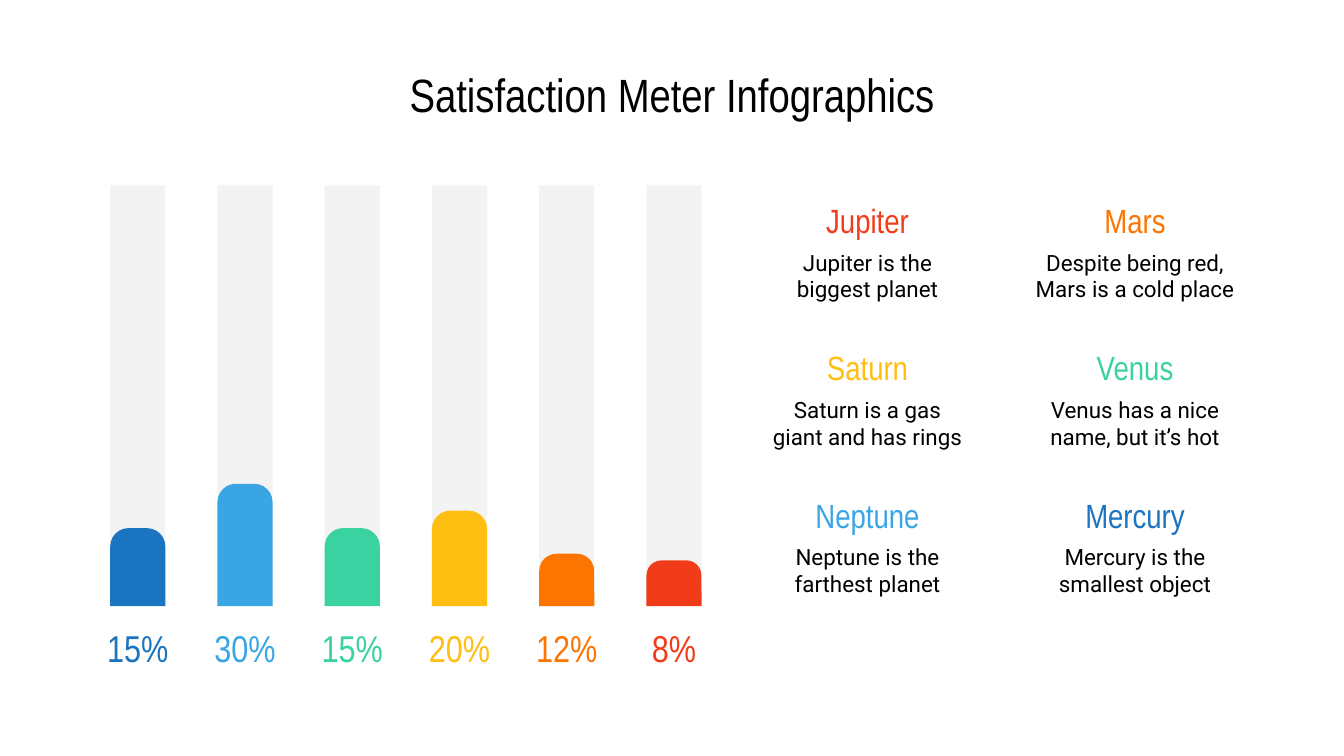
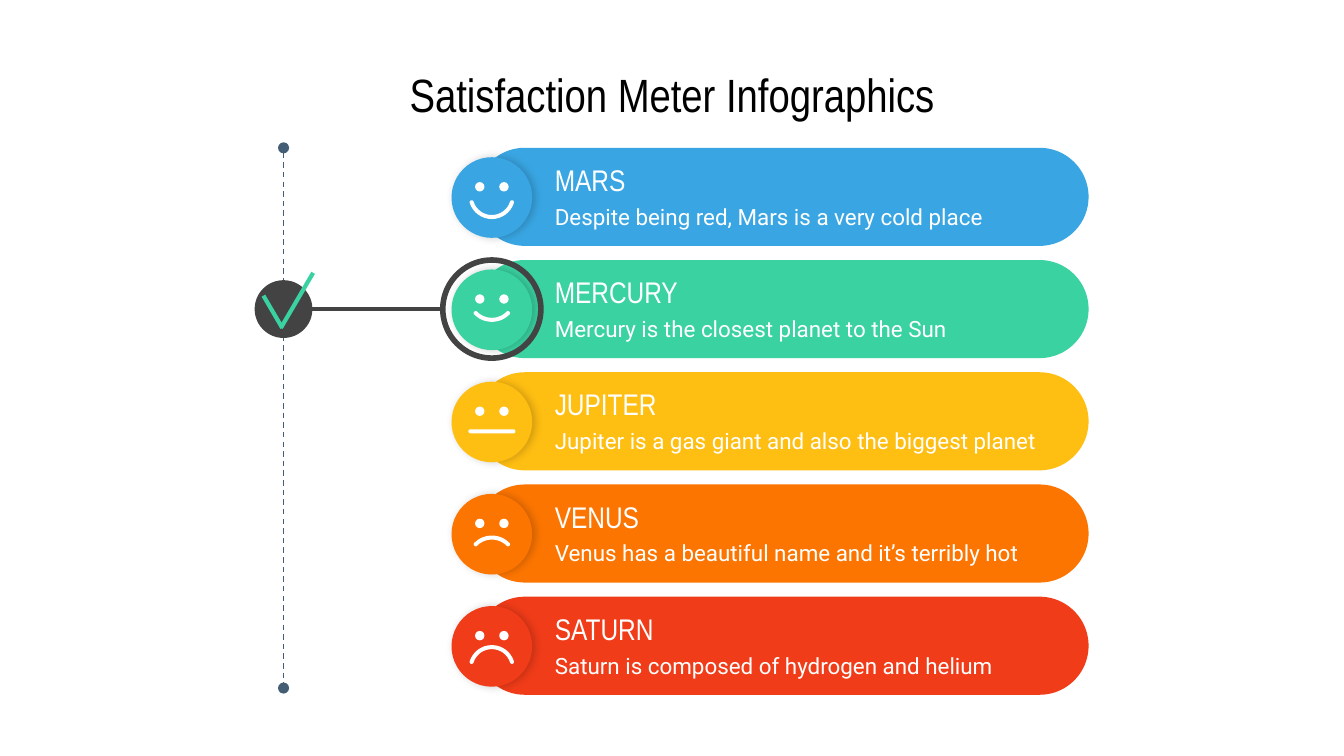
from math import asin, cos, pi, sin

from lxml.etree import SubElement
from pptx import Presentation
from pptx.dml.color import RGBColor
from pptx.enum.dml import MSO_LINE
from pptx.enum.shapes import MSO_CONNECTOR, MSO_SHAPE
from pptx.enum.text import MSO_ANCHOR as Anchor, PP_ALIGN as Align
from pptx.oxml.ns import qn
from pptx.util import Inches, Pt

NAVY, BLUE, GREEN = "1A74BF", "39A6E3", "39D2A0"
YELLOW, ORANGE, RED = "FFBE12", "FC7500", "F13C19"
BLACK, WHITE, TRACK, DARK, SLATE = "000000", "FFFFFF", "F3F3F3", "434343", "435D74"
HEADING, BODY = "Arial Narrow", "Roboto"

SHARES = [
    ("15%", NAVY, 0.58), ("30%", BLUE, 0.91), ("15%", GREEN, 0.58),
    ("20%", YELLOW, 0.71), ("12%", ORANGE, 0.39), ("8%", RED, 0.34),
]
PLANETS = [
    ("Jupiter", RED, "Jupiter is the biggest planet"),
    ("Mars", ORANGE, "Despite being red, Mars is a cold place"),
    ("Saturn", YELLOW, "Saturn is a gas giant and has rings"),
    ("Venus", GREEN, "Venus has a nice name, but it’s hot"),
    ("Neptune", BLUE, "Neptune is the farthest planet"),
    ("Mercury", NAVY, "Mercury is the smallest object"),
]
MOODS = [
    ("MARS", BLUE, "Despite being red, Mars is a very cold place", 0.15, 0.11, 0.09),
    ("MERCURY", GREEN, "Mercury is the closest planet to the Sun", 0.12, 0.05, 0.05),
    ("JUPITER", YELLOW, "Jupiter is a gas giant and also the biggest planet", 0.16, 0, 0.07),
    ("VENUS", ORANGE, "Venus has a beautiful name and it’s terribly hot", 0.12, -0.05, 0.05),
    ("SATURN", RED, "Saturn is composed of hydrogen and helium", 0.15, -0.11, 0.06),
]


def rgb(value):
    return RGBColor.from_string(value)


class Deck:
    def __init__(self):
        self.prs = Presentation()
        self.prs.slide_width = Inches(10)
        self.prs.slide_height = Inches(10 * 9 / 16)
        self.slide = None

    def new_slide(self):
        self.slide = self.prs.slides.add_slide(self.prs.slide_layouts[6])
        self.slide.background.fill.solid()
        self.slide.background.fill.fore_color.rgb = rgb(WHITE)

    def title(self, text):
        self.text(text, 0.5, 0.45, 9, 0.5, size=25, anchor=Anchor.MIDDLE)

    def text(self, text, left, top, width, height, size=12, font=HEADING,
             color=BLACK, align=Align.CENTER, anchor=Anchor.TOP):
        box = self.slide.shapes.add_textbox(*map(Inches, (left, top, width, height)))
        frame = box.text_frame
        frame.word_wrap = True
        frame.vertical_anchor = anchor
        frame.margin_left = frame.margin_right = Inches(0.1)
        frame.margin_top = frame.margin_bottom = Inches(0.1)
        paragraph = frame.paragraphs[0]
        paragraph.alignment = align
        run = paragraph.add_run()
        run.text = text
        run.font.size, run.font.name = Pt(size), font
        run.font.color.rgb = rgb(color)

    def paint(self, shape, fill=None, line=None, weight=1):
        shape.shadow.inherit = False
        if fill:
            shape.fill.solid()
            shape.fill.fore_color.rgb = rgb(fill)
        else:
            shape.fill.background()
        if line:
            shape.line.color.rgb = rgb(line)
            shape.line.width = Pt(weight)
        else:
            shape.line.fill.background()
        return shape

    def shape(self, kind, left, top, width, height, adjust=(), **look):
        shape = self.slide.shapes.add_shape(kind, *map(Inches, (left, top, width, height)))
        for index, value in enumerate(adjust):
            shape.adjustments[index] = value
        return self.paint(shape, **look)

    def disc(self, x, y, diameter, **look):
        return self.shape(MSO_SHAPE.OVAL, x - diameter / 2, y - diameter / 2,
                          diameter, diameter, **look)

    def soft_shadow(self, shape):
        effects = shape._element.spPr.find(qn("a:effectLst"))
        shadow = SubElement(effects, qn("a:outerShdw"), blurRad=str(Pt(4.5)),
                            dist=str(Pt(1.5)), dir=str(359 * 60000),
                            algn="bl", rotWithShape="0")
        color = SubElement(shadow, qn("a:srgbClr"), val=BLACK)
        SubElement(color, qn("a:alpha"), val="18000")

    def line(self, x1, y1, x2, y2, color, weight, dash=None, dots=False):
        line = self.slide.shapes.add_connector(
            MSO_CONNECTOR.STRAIGHT, *map(Inches, (x1, y1, x2, y2)))
        line.line.color.rgb = rgb(color)
        line.line.width = Pt(weight)
        if dash:
            line.line.dash_style = dash
        if dots:
            stroke = line.line._get_or_add_ln()
            for end in ("a:headEnd", "a:tailEnd"):
                SubElement(stroke, qn(end), type="oval")
        SubElement(line._element.spPr, qn("a:effectLst"))

    def mouth(self, x, y, half, curve, thick=0.03, steps=16):
        if not curve:
            self.shape(MSO_SHAPE.ROUNDED_RECTANGLE, x - half - thick / 2, y - thick / 2,
                       2 * half + thick, thick, adjust=[0.5], fill=WHITE)
            return
        depth, way = abs(curve), 1 if curve > 0 else -1
        radius = (half ** 2 + depth ** 2) / (2 * depth)
        reach = asin(half / radius)
        center_y = depth / 2 - radius

        def arc(r, start, end, cx=0, cy=center_y):
            angles = (start + (end - start) * i / steps for i in range(steps + 1))
            return [(cx + r * sin(a), cy + r * cos(a)) for a in angles]

        def cap(angle, start):
            return arc(thick / 2, start, start + pi,
                       radius * sin(angle), center_y + radius * cos(angle))

        outline = (arc(radius + thick / 2, -reach, reach) + cap(reach, reach)
                   + arc(radius - thick / 2, reach, -reach) + cap(-reach, pi - reach))
        points = [(Inches(x + dx), Inches(y + way * dy)) for dx, dy in outline]
        builder = self.slide.shapes.build_freeform(*points[0])
        builder.add_line_segments(points[1:], close=True)
        self.paint(builder.convert_to_shape(), fill=WHITE)

    def face(self, x, y, color, half, curve, drop):
        self.soft_shadow(self.disc(x, y, 0.6, fill=color))
        for side in (-1, 1):
            self.disc(x + side * 0.09, y - 0.08, 0.07, fill=WHITE)
        self.mouth(x, y + drop, half, curve)


def share_slide(deck):
    deck.new_slide()
    deck.title("Satisfaction Meter Infographics")
    track_top, track_bottom, width = 1.38, 4.51, 0.41
    pitch = (4.81 - 0.82) / (len(SHARES) - 1)
    for index, (share, color, height) in enumerate(SHARES):
        left = 0.82 + index * pitch
        deck.shape(MSO_SHAPE.RECTANGLE, left, track_top, width,
                   track_bottom - track_top, fill=TRACK)
        deck.shape(MSO_SHAPE.ROUND_2_SAME_RECTANGLE, left, track_bottom - height,
                   width, height, adjust=[0.33, 0], fill=color)
        deck.text(share, left - 0.13, 4.65, 0.67, 0.34, size=20, color=color,
                  anchor=Anchor.MIDDLE)
    row_pitch = (3.58 - 1.39) / 2
    for index, (planet, color, fact) in enumerate(PLANETS):
        row, column = divmod(index, 2)
        left, top = 5.61 + column * 1.99, 1.39 + row * row_pitch
        deck.text(planet, left, top, 1.69, 0.36, size=18, color=color)
        deck.text(fact, left, top + 0.36, 1.69, 0.55, font=BODY)


def mood_slide(deck):
    deck.new_slide()
    axis_x, face_x, first_top, band_height = 2.11, 3.66, 1.1, 0.73
    pitch = (4.44 - first_top) / (len(MOODS) - 1)
    deck.line(axis_x, 1.1, axis_x, 5.12, SLATE, 0.75, dash=MSO_LINE.DASH, dots=True)
    deck.title("Satisfaction Meter Infographics")
    for index, (planet, color, fact, *smile) in enumerate(MOODS):
        top = first_top + index * pitch
        deck.shape(MSO_SHAPE.ROUNDED_RECTANGLE, 3.54, top, 4.56, band_height,
                   adjust=[0.5], fill=color)
        deck.face(face_x, top + 0.37, color, *smile)
        deck.text(planet, 4.03, top + 0.08, 3.92, 0.31, size=16, color=WHITE,
                  align=Align.LEFT, anchor=Anchor.MIDDLE)
        deck.text(fact, 4.03, top + 0.31, 3.92, 0.35, font=BODY, color=WHITE,
                  align=Align.LEFT)
    chosen_y = first_top + pitch + band_height / 2
    deck.disc(face_x, chosen_y, 0.73, line=DARK, weight=3)
    deck.line(3.3, chosen_y, 2.23, chosen_y, DARK, 2.25)
    deck.disc(axis_x, chosen_y, 0.43, fill=DARK)
    deck.line(1.96, 2.2, 2.1, 2.44, GREEN, 2.25)
    deck.line(2.09, 2.44, 2.33, 2.03, GREEN, 2.25)


def main():
    deck = Deck()
    share_slide(deck)
    mood_slide(deck)
    deck.prs.save("out.pptx")


if __name__ == "__main__":
    main()
